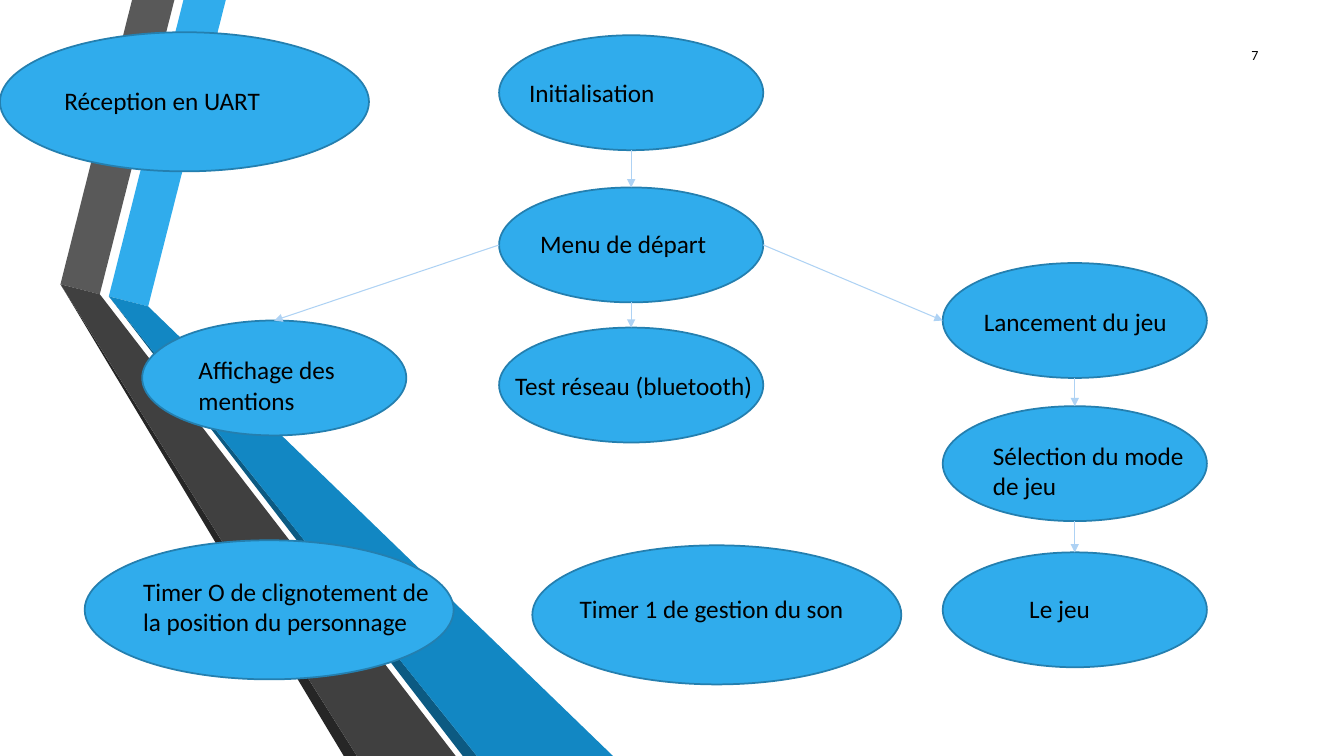
from lxml import etree
from pptx import Presentation
from pptx.dml.color import RGBColor
from pptx.enum.shapes import MSO_CONNECTOR, MSO_SHAPE
from pptx.enum.text import MSO_ANCHOR, PP_ALIGN
from pptx.oxml.ns import qn
from pptx.util import Inches, Pt

STRAIGHT, OVAL = MSO_CONNECTOR.STRAIGHT, MSO_SHAPE.OVAL
TOP, MIDDLE = MSO_ANCHOR.TOP, MSO_ANCHOR.MIDDLE
LEFT, RIGHT = PP_ALIGN.LEFT, PP_ALIGN.RIGHT

BLUE = RGBColor(0x30, 0xAC, 0xEC)
MID_BLUE = RGBColor(0x12, 0x87, 0xC3)
DARK_BLUE = RGBColor(0x0C, 0x5A, 0x82)
OUTLINE = RGBColor(0x24, 0x7F, 0xAF)
ARROW = RGBColor(0xAE, 0xD2, 0xF4)
GREY = RGBColor(0x59, 0x59, 0x59)
DARK_GREY = RGBColor(0x40, 0x40, 0x40)
DEEP_GREY = RGBColor(0x26, 0x26, 0x26)
BLACK = RGBColor(0, 0, 0)

prs = Presentation()
prs.slide_width, prs.slide_height = Inches(13.33), Inches(7.5)
s = prs.slides.add_slide(prs.slide_layouts[6])


def add_text(text, x, y, w, h, size=18, align=LEFT, anchor=TOP):
    tf = s.shapes.add_textbox(Inches(x), Inches(y), Inches(w), Inches(h)).text_frame
    tf.word_wrap = True
    tf.vertical_anchor = anchor
    p = tf.paragraphs[0]
    p.alignment = align
    r = p.add_run()
    r.text = text
    r.font.name, r.font.size = "Calibri", Pt(size)
    r.font.color.rgb = BLACK


# Folded ribbons on the left
ribbons = [
    (BLUE, [(1.08, 2.94), (1.47, 3.04), (2.24, 0), (1.82, 0)]),
    (GREY, [(0.99, 2.92), (1.73, 0), (1.31, 0), (0.6, 2.82)]),
    (DEEP_GREY, [(0.6, 2.82), (3.41, 7.5), (3.54, 7.5)]),
    (DARK_BLUE, [(4.73, 7.5), (1.08, 2.94), (4.59, 7.5)]),
    (MID_BLUE, [(1.08, 2.94), (4.73, 7.5), (6.08, 7.5), (1.47, 3.04)]),
    (DARK_GREY, [(4.52, 7.5), (1.06, 3.01), (0.99, 2.92), (0.6, 2.82), (3.54, 7.5)]),
]
for color, corners in ribbons:
    points = [(Inches(x), Inches(y)) for x, y in corners]
    builder = s.shapes.build_freeform(*points[0])
    builder.add_line_segments(points[1:], close=True)
    ribbon = builder.convert_to_shape()
    ribbon.shadow.inherit = False
    ribbon.fill.solid()
    ribbon.fill.fore_color.rgb = color
    ribbon.line.fill.background()

add_text("7", 11.98, 0.35, 0.6, 0.4, 10, RIGHT, MIDDLE)

# Ellipses: position, size, label, label box
STEP, TASK = (2.62, 1.14), (3.66, 1.38)
nodes = {
    "init": ((4.95, 0.35), STEP, "Initialisation", (5.15, 0.72, 2, 0.4)),
    "menu": ((4.95, 1.86), STEP, "Menu de départ", (5.26, 2.22, 2, 0.4)),
    "launch": ((9.35, 2.61), STEP, "Lancement du jeu", (9.66, 2.99, 2.17, 0.4)),
    "network": ((4.95, 3.25), STEP, "Test réseau (bluetooth)", (5.01, 3.62, 2.62, 0.4)),
    "credits": ((1.41, 3.18), STEP, "Affichage des mentions", (1.87, 3.47, 2.17, 0.71)),
    "mode": ((9.35, 4.03), STEP, "Sélection du mode de jeu", (9.75, 4.32, 2.17, 0.71)),
    "game": ((9.35, 5.48), STEP, "Le jeu", (10.11, 5.84, 2.17, 0.4)),
    "uart": ((0, 0.32), TASK, "Réception en UART", (0.54, 0.8, 3.3, 0.4)),
    "timer1": ((5.28, 5.41), TASK, "Timer 1 de gestion du son", (5.65, 5.84, 3.3, 0.4)),
    "timer0": ((0.84, 5.36), TASK, "Timer O de clignotement de la position du personnage",
               (1.32, 5.67, 3.18, 0.71)),
}
sides = {}
for name, ((x, y), (w, h), label, label_box) in nodes.items():
    ellipse = s.shapes.add_shape(OVAL, Inches(x), Inches(y), Inches(w), Inches(h))
    ellipse.shadow.inherit = False
    ellipse.fill.solid()
    ellipse.fill.fore_color.rgb = BLUE
    ellipse.line.color.rgb = OUTLINE
    ellipse.line.width = Pt(1.25)
    add_text(label, *label_box)
    sides[name] = {"top": (x + w / 2, y), "bottom": (x + w / 2, y + h),
                   "left": (x, y + h / 2), "right": (x + w, y + h / 2)}

# Arrows from one ellipse side to another
arrows = [
    ("init", "bottom", "menu", "top"),
    ("menu", "bottom", "network", "top"),
    ("menu", "right", "launch", "left"),
    ("menu", "left", "credits", "top"),
    ("launch", "bottom", "mode", "top"),
    ("mode", "bottom", "game", "top"),
]
for source, exit_side, target, entry_side in arrows:
    ends = sides[source][exit_side] + sides[target][entry_side]
    arrow = s.shapes.add_connector(STRAIGHT, *[Inches(v) for v in ends])
    arrow.line.color.rgb = ARROW
    arrow.line.width = Pt(0.75)
    etree.SubElement(arrow.line._get_or_add_ln(), qn("a:tailEnd"), type="triangle")
    etree.SubElement(arrow._element.spPr, qn("a:effectLst"))

prs.save("out.pptx")
